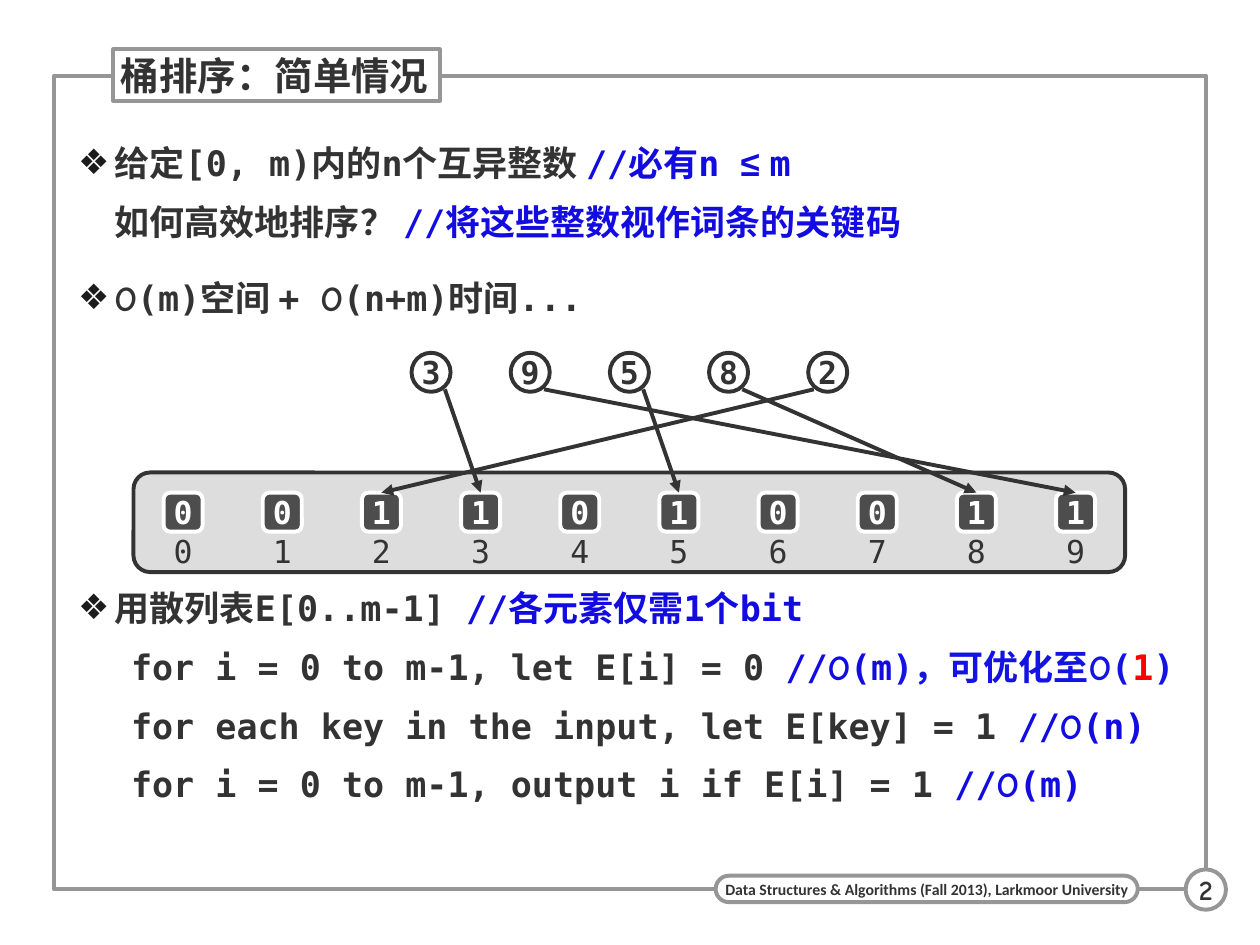
from dataclasses import dataclass

from lxml import etree
from pptx import Presentation
from pptx.dml.color import RGBColor
from pptx.enum import shapes, text
from pptx.oxml.ns import qn
from pptx.util import Inches, Pt


@dataclass(frozen=True)
class Theme:
    ink: str = "333333"
    frame: str = "969696"
    paper: str = "FFFFFF"
    tray: str = "DDDDDD"
    cell: str = "4D4D4D"
    bullet: str = "1C1C1C"
    note: str = "120CE0"
    cost: str = "1313E3"
    alert: str = "FF0000"
    mono: str = "DejaVu Sans Mono"
    script: str = "Comic Neue"
    symbol: str = "Arial"
    label: str = "Calibri"
    title_size: float = 22
    body_size: float = 20
    digit_size: float = 18
    page_size: float = 16
    footer_size: float = 9
    stroke: float = 2.25


T = Theme()
KIND = shapes.MSO_SHAPE
ALIGN = text.PP_ALIGN
BIG_O = "O"


def write(paragraph, words, font=T.mono, size=T.body_size, color=T.ink, bold=True):
    for index, line in enumerate(words.split("\n")):
        if index:
            paragraph.add_line_break()
        if line:
            run = paragraph.add_run()
            run.text = line
            run.font.name = font
            run.font.size = Pt(size)
            run.font.bold = bold
            run.font.color.rgb = RGBColor.from_string(color)


def set_frame(frame, insets, wrap=False, anchor=text.MSO_ANCHOR.MIDDLE):
    frame.margin_left, frame.margin_top, frame.margin_right, frame.margin_bottom = map(
        Inches, insets)
    frame.word_wrap = wrap
    frame.vertical_anchor = anchor


def add_block(slide, kind, box, fill=None, line=None, words="", insets=(0, 0, 0, 0),
              align=ALIGN.CENTER, radius=None, **style):
    block = slide.shapes.add_shape(kind, *map(Inches, box))
    block.shadow.inherit = False
    if radius is not None:
        block.adjustments[0] = radius
    if fill:
        block.fill.solid()
        block.fill.fore_color.rgb = RGBColor.from_string(fill)
    else:
        block.fill.background()
    if line:
        block.line.color.rgb = RGBColor.from_string(line)
        block.line.width = Pt(T.stroke)
    else:
        block.line.fill.background()
    if words:
        set_frame(block.text_frame, insets)
        paragraph = block.text_frame.paragraphs[0]
        paragraph.alignment = align
        write(paragraph, words, **style)
    return block


def add_arrow(slide, start, cell):
    arrow = slide.shapes.add_connector(
        shapes.MSO_CONNECTOR.STRAIGHT, *map(Inches, start), *map(Inches, start))
    arrow.end_connect(cell, 0)
    arrow.line.color.rgb = RGBColor.from_string(T.ink)
    arrow.line.width = Pt(T.stroke)
    etree.SubElement(arrow.line._get_or_add_ln(), qn("a:tailEnd"), type="triangle")
    etree.SubElement(arrow._element.spPr, qn("a:effectLst"))


def add_page_frame(slide, box):
    left, top, width, height = box
    right, bottom = left + width, top + height
    add_block(slide, KIND.RECTANGLE, box, line=T.frame)
    add_block(slide, KIND.ROUNDED_RECTANGLE, (right - 3.89, bottom - 0.11, 3.35, 0.21),
              T.paper, T.frame, "Data Structures & Algorithms (Fall 2013), Larkmoor University",
              (0.06, 0, 0.06, 0), radius=0.5, font=T.label, size=T.footer_size)
    add_block(slide, KIND.OVAL, (right - 0.16, bottom - 0.16, 0.32, 0.32), T.paper, T.frame,
              "2", (0.04,) * 4, font=T.script, size=T.page_size)
    add_block(slide, KIND.RECTANGLE, (left + 0.47, top - 0.21, 2.59, 0.41), T.paper, T.frame,
              "桶排序：简单情况", (0.06, 0.01, 0.06, 0.01), ALIGN.LEFT, size=T.title_size)


def format_bullet(paragraph, after):
    paragraph.line_spacing = 1.4
    paragraph.space_before = Pt(7.5)
    paragraph.space_after = Pt(after)
    props = paragraph._p.get_or_add_pPr()
    props.set("marL", str(Inches(0.29)))
    props.set("indent", str(-Inches(0.29)))
    color = etree.SubElement(props, qn("a:buClr"))
    etree.SubElement(color, qn("a:srgbClr"), val=T.bullet)
    etree.SubElement(props, qn("a:buFont"), typeface=T.symbol)
    etree.SubElement(props, qn("a:buChar"), char="❖")
    tabs = etree.SubElement(props, qn("a:tabLst"))
    etree.SubElement(tabs, qn("a:tab"), pos=str(Inches(0.42)), algn="l")


def add_body(slide, box):
    note, cost = {"color": T.note}, {"color": T.cost}
    big = {"font": T.script}
    bullets = [
        (2.5, [("给定[0, m)内的n个互异整数 ", {}), ("//必有n ", note),
               ("≤ ", {**note, "font": T.symbol}), ("m\n", note),
               ("如何高效地排序？ ", {}), ("//将这些整数视作词条的关键码", note)]),
        (136, [(BIG_O, big), ("(m)空间 + ", {}), (BIG_O, big), ("(n+m)时间...", {})]),
        (2.5, [("用散列表E[0..m-1] ", {}), ("//各元素仅需1个bit\n", note),
               ("\tfor i = 0 to m-1, let E[i] = 0 ", {}), ("//", note),
               (BIG_O, {**note, **big}), ("(m", note), (")，可优化至", cost),
               (BIG_O, {**cost, **big}), ("(", cost), ("1", {"color": T.alert}),
               (")\n", cost),
               ("\tfor each key in the input, let E[key] = 1 ", {}), ("//", note),
               (BIG_O, {**note, **big}), ("(n)\n", note),
               ("\tfor i = 0 to m-1, output i if E[i] = 1 ", {}), ("//", note),
               (BIG_O, {**note, **big}), ("(m)", note)]),
    ]
    frame = slide.shapes.add_textbox(*map(Inches, box)).text_frame
    set_frame(frame, (0.16, 0.08, 0, 0.08), True, text.MSO_ANCHOR.TOP)
    for index, (after, pieces) in enumerate(bullets):
        paragraph = frame.add_paragraph() if index else frame.paragraphs[0]
        format_bullet(paragraph, after)
        for words, style in pieces:
            write(paragraph, words, **style)


def add_buckets(slide, box, keys, count):
    left, top, width, height = box
    pitch, side = width / count, 0.31
    add_block(slide, KIND.ROUNDED_RECTANGLE, box, T.tray, T.ink)
    cells = []
    for slot in range(count):
        x = left + (slot + 0.5) * pitch - side / 2
        label = slide.shapes.add_textbox(*map(Inches, (x, top + 0.47, side, side))).text_frame
        set_frame(label, (0, 0, 0, 0))
        label.paragraphs[0].alignment = ALIGN.CENTER
        write(label.paragraphs[0], str(slot), size=T.digit_size, bold=False)
        cells.append(add_block(
            slide, KIND.ROUNDED_RECTANGLE, (x, top + 0.16, side, side), T.cell, T.paper,
            str(int(slot in keys)), size=T.digit_size, color=T.paper))

    first_edge = (count - len(keys) + 1) / 2
    key_top = top - 0.95
    for index, key in enumerate(keys):
        edge = first_edge + index
        center = left + edge * pitch
        lean = 0.11 if key + 0.5 > edge else -0.11
        add_arrow(slide, (center + lean, key_top + 0.29), cells[key])
        add_block(slide, KIND.OVAL, (center - side / 2, key_top, side, side),
                  T.paper, T.ink, str(key), size=T.digit_size)


def main():
    deck = Presentation()
    deck.slide_width, deck.slide_height = Inches(10), Inches(7.5)
    slide = deck.slides.add_slide(deck.slide_layouts[6])
    add_page_frame(slide, (0.43, 0.6, 9.14, 6.46))
    add_body(slide, (0.46, 0.91, 9.11, 5.91))
    add_buckets(slide, (1.06, 3.75, 7.87, 0.79), [3, 9, 5, 8, 2], 10)
    deck.save("out.pptx")


if __name__ == "__main__":
    main()
